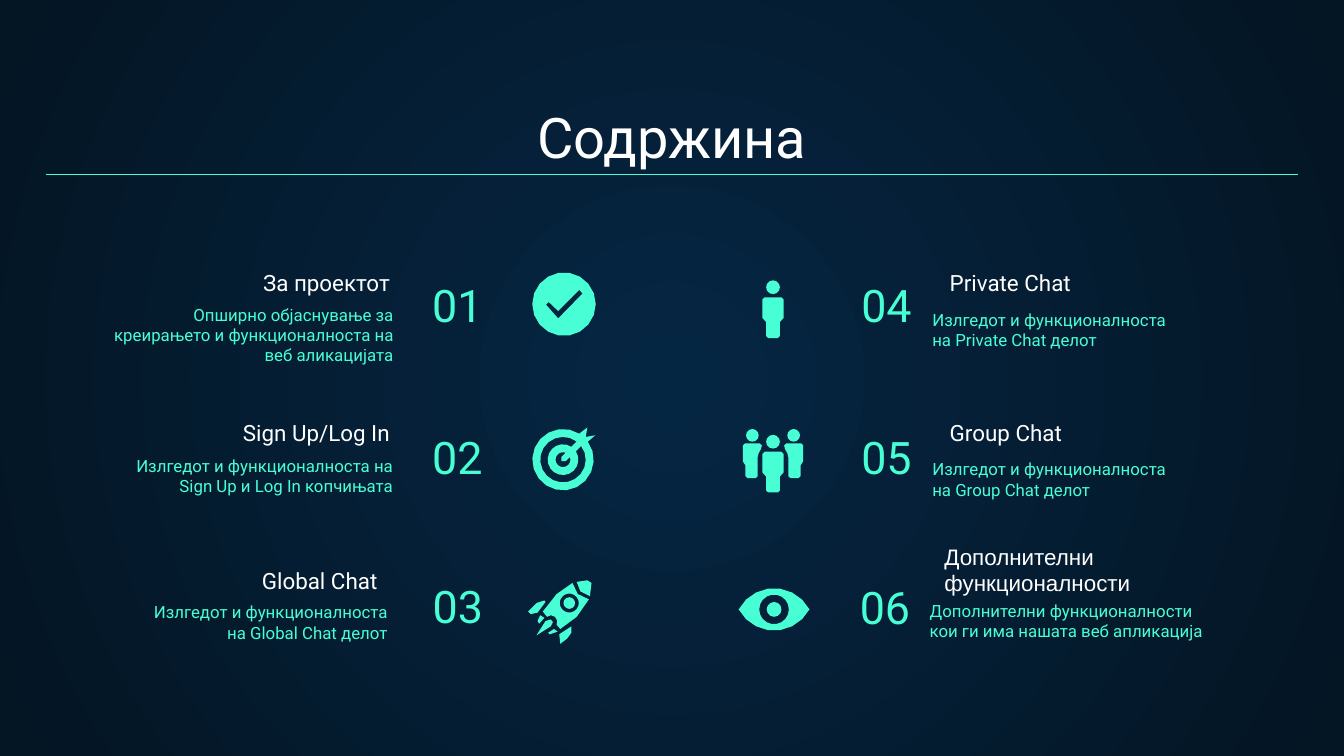
"""Build the contents slide of a chat application presentation."""
from math import ceil, cos, dist, radians, sin

from lxml.etree import SubElement
from pptx import Presentation
from pptx.dml.color import RGBColor
from pptx.enum.shapes import MSO_CONNECTOR, MSO_SHAPE
from pptx.enum.text import MSO_ANCHOR, PP_ALIGN
from pptx.oxml.ns import qn
from pptx.util import Cm, Pt

MINT = RGBColor(0x48, 0xFF, 0xD5)
WHITE = RGBColor(0xFF, 0xFF, 0xFF)
NAVY = RGBColor(0x05, 0x26, 0x43)
MIDNIGHT = RGBColor(0x04, 0x15, 0x23)
LEFT, RIGHT, CENTER = PP_ALIGN.LEFT, PP_ALIGN.RIGHT, PP_ALIGN.CENTER
TOP, BOTTOM = MSO_ANCHOR.TOP, MSO_ANCHOR.BOTTOM

TITLE = "Содржина"
NUMBERS = [
    ("01", (7.92, 4.83, 3.28, 1.68), LEFT),
    ("02", (7.92, 7.7, 3.28, 1.68), LEFT),
    ("03", (6.1, 10.52, 3.28, 1.68), RIGHT),
    ("04", (14.2, 4.83, 3.28, 1.68), RIGHT),
    ("05", (14.2, 7.7, 3.28, 1.68), RIGHT),
    ("06", (16, 10.54, 1.55, 1.68), LEFT),
]
HEADINGS = [
    ("За проектот", (1.85, 5.31, 5.77, 0.53), RIGHT),
    ("Sign Up/Log In", (1.85, 8.15, 5.77, 0.53), RIGHT),
    ("Global Chat", (4.7, 10.95, 5.77, 0.53), LEFT),
    ("Private Chat", (17.7, 5.31, 5.77, 0.53), LEFT),
    ("Group Chat", (17.7, 8.15, 5.77, 0.53), LEFT),
]
EXTRA_HEADING = "Дополнителни\nфункционалности"
DESCRIPTIONS = [
    ("Опширно објаснување за креирањето и функционалноста на веб аликацијата",
     (1.63, 5.51, 6.05, 1.4), RIGHT),
    ("Излгедот и функционалноста на Sign Up и Log In копчињата",
     (2.08, 8.36, 5.59, 1.4), RIGHT),
    ("Излгедот и функционалноста на Global Chat делот",
     (2.31, 11.13, 5.26, 1.4), RIGHT),
    ("Излгедот и функционалноста на Private Chat делот",
     (17.37, 5.61, 5.26, 1.4), LEFT),
    ("Излгедот и функционалноста на Group Chat делот",
     (17.37, 8.43, 5.26, 1.4), LEFT),
    ("Дополнителни функционалности кои ги има нашата веб апликација",
     (17.32, 11.1, 6.05, 1.4), LEFT),
]


def arc(radius, start=0, end=360, x=0, y=0):
    """Return points along a circular arc, with angles in degrees."""
    steps = ceil(abs(end - start) / 20)
    angles = [radians(start + (end - start) * i / steps) for i in range(steps + 1)]
    return [(x + radius * cos(a), y + radius * sin(a)) for a in angles]


def chamfered(corners, size=0.04):
    """Return the outline of a polygon with its corners cut off."""
    points = []
    for i, corner in enumerate(corners):
        for neighbour in (corners[i - 1], corners[(i + 1) % len(corners)]):
            share = min(0.5, size / dist(corner, neighbour))
            points.append(tuple(c + (n - c) * share for c, n in zip(corner, neighbour)))
    return points


def person_body(y=0):
    """Return the outline of a standing figure below its head."""
    half = [(0.2, y - 0.22), (0.2, y + 0.21), (0.13, y + 0.21), (0.13, y + 0.55)]
    return [chamfered(half + [(-a, b) for a, b in reversed(half)])]


def bystander_body(side):
    """Return the outline of a figure partly hidden on one side."""
    body = [(0.57, -0.32), (0.21, -0.32), (0.21, -0.24), (0.29, -0.1),
            (0.29, 0.34), (0.52, 0.34), (0.52, 0.06), (0.57, 0.06)]
    return [chamfered([(side * a, b) for a, b in body])]


CHECK = [
    arc(0.6),
    [(0.29, -0.27), (0.35, -0.2), (-0.11, 0.27), (-0.34, 0.01),
     (-0.29, -0.04), (-0.11, 0.13)],
]
TARGET = [
    arc(0.58, -36, 302) + [(0.46, -0.61), (0.43, -0.43), (0.61, -0.46)],
    arc(0.43, -37, 307) + arc(0.29, 303, -33),
    arc(0.14, -21, 291) + [(-0.03, -0.05), (-0.03, 0.03), (0.05, 0.03)],
]
EYE = [arc(0.76, 208, 332, y=0.36) + arc(0.76, 28, 152, y=-0.36), arc(0.28)]
ROCKET_BODY = [
    [(0.24, -0.55), (-0.06, -0.34), (-0.32, -0.01), (-0.24, 0.09),
     (-0.17, 0.06), (-0.09, 0.09), (-0.05, 0.16), (-0.06, 0.24),
     (0.01, 0.32), (0.32, 0.09), (0.55, -0.24), (0.34, -0.34)],
    arc(0.18, x=0.18, y=-0.17),
]
ROCKET_PARTS = [
    [(0.32, -0.57), (0.39, -0.39), (0.57, -0.3), (0.6, -0.55), (0.52, -0.6)],
    [(-0.27, -0.19), (-0.42, 0.01), (-0.55, 0.04), (-0.6, -0.01), (-0.44, -0.17),
     (-0.29, -0.22)],
    [(0.22, 0.27), (-0.01, 0.42), (0.01, 0.6), (0.14, 0.5), (0.22, 0.39)],
    [(-0.17, 0.14), (-0.27, 0.17), (-0.44, 0.44), (-0.17, 0.27), (-0.13, 0.19)],
    [(-0.37, 0.06), (-0.42, 0.17), (-0.39, 0.22), (-0.29, 0.11)],
    [(-0.11, 0.32), (-0.22, 0.39), (-0.19, 0.42), (-0.04, 0.37)],
]
ICONS = [
    {"center": (10.66, 5.75), "outlines": [CHECK], "discs": []},
    {"center": (10.64, 8.69), "outlines": [TARGET], "discs": []},
    {"center": (10.58, 11.57), "discs": [(0.18, -0.17, 0.11)],
     "outlines": [ROCKET_BODY] + [[part] for part in ROCKET_PARTS]},
    {"center": (14.61, 5.84), "outlines": [person_body()], "discs": [(0, -0.41, 0.13)]},
    {"center": (14.61, 8.7),
     "outlines": [bystander_body(-1), bystander_body(1), person_body(0.06)],
     "discs": [(-0.39, -0.47, 0.12), (0.39, -0.47, 0.12), (0, -0.35, 0.13)]},
    {"center": (14.63, 11.52), "outlines": [EYE], "discs": [(0, 0, 0.14)]},
]


def set_text(shape, text, *, box, size, color=WHITE, font="Roboto",
             align=LEFT, anchor=BOTTOM):
    """Place a text shape and format each line of its text."""
    shape.left, shape.top, shape.width, shape.height = map(Cm, box)
    frame = shape.text_frame
    frame.text = text
    frame.word_wrap = True
    frame.vertical_anchor = anchor
    frame.margin_left = frame.margin_right = Cm(0.25)
    frame.margin_top = frame.margin_bottom = Cm(0.25)
    for paragraph in frame.paragraphs:
        paragraph.alignment = align
        for run in paragraph.runs:
            run.font.size = Pt(size)
            run.font.name = font
            run.font.color.rgb = color


def add_text(slide, text, **style):
    """Add a text box in the given format."""
    set_text(slide.shapes.add_textbox(0, 0, 0, 0), text, **style)


def paint(shape):
    """Give a shape a plain mint fill."""
    shape.shadow.inherit = False
    shape.fill.solid()
    shape.fill.fore_color.rgb = MINT
    shape.line.fill.background()


def add_icon(slide, center, outlines, discs):
    """Draw an icon; later contours of an outline cut holes in it."""
    grouped = len(outlines) + len(discs) > 1
    shapes = slide.shapes.add_group_shape().shapes if grouped else slide.shapes
    for contours in outlines:
        builder = None
        for contour in contours:
            points = [(Cm(center[0] + x), Cm(center[1] + y)) for x, y in contour]
            if builder is None:
                builder = shapes.build_freeform(*points[0])
            else:
                builder.move_to(*points[0])
            builder.add_line_segments(points[1:], close=True)
        paint(builder.convert_to_shape())
    for x, y, radius in discs:
        paint(shapes.add_shape(
            MSO_SHAPE.OVAL, Cm(center[0] + x - radius), Cm(center[1] + y - radius),
            Cm(2 * radius), Cm(2 * radius)))


def set_background(slide):
    """Fill the slide with a gradient that spreads from its centre."""
    fill = slide.background.fill
    fill.gradient()
    for stop, color in zip(fill.gradient_stops, (NAVY, MIDNIGHT)):
        stop.color.rgb = color
    gradient = slide.element.find(".//" + qn("a:gradFill"))
    gradient.remove(gradient.find(qn("a:lin")))
    circle = SubElement(gradient, qn("a:path"), path="circle")
    SubElement(circle, qn("a:fillToRect"), l="50000", t="50000", r="50000", b="50000")


def main():
    """Build and save the presentation."""
    presentation = Presentation()
    presentation.slide_width, presentation.slide_height = Cm(25.4), Cm(14.29)
    slide = presentation.slides.add_slide(presentation.slide_layouts[5])
    set_background(slide)
    set_text(slide.shapes.title, TITLE, box=(0.86, 1.78, 23.67, 1.68), size=30, align=CENTER)
    for text, box, align in DESCRIPTIONS:
        add_text(slide, text, box=box, size=9, color=MINT, align=align, anchor=TOP)
    for text, box, align in NUMBERS:
        add_text(slide, text, box=box, size=24, color=MINT, align=align)
    for text, box, align in HEADINGS:
        add_text(slide, text, box=box, size=12, align=align)
    add_text(slide, EXTRA_HEADING, box=(17.6, 10.01, 5.26, 1.27), size=12,
             font="Arial", anchor=TOP)
    for icon in ICONS:
        add_icon(slide, **icon)
    rule = slide.shapes.add_connector(
        MSO_CONNECTOR.STRAIGHT, Cm(0.86), Cm(3.3), Cm(24.54), Cm(3.3))
    rule.line.color.rgb = MINT
    rule.line.width = Pt(0.75)
    SubElement(rule._element.spPr, qn("a:effectLst"))
    presentation.save("out.pptx")


if __name__ == "__main__":
    main()
